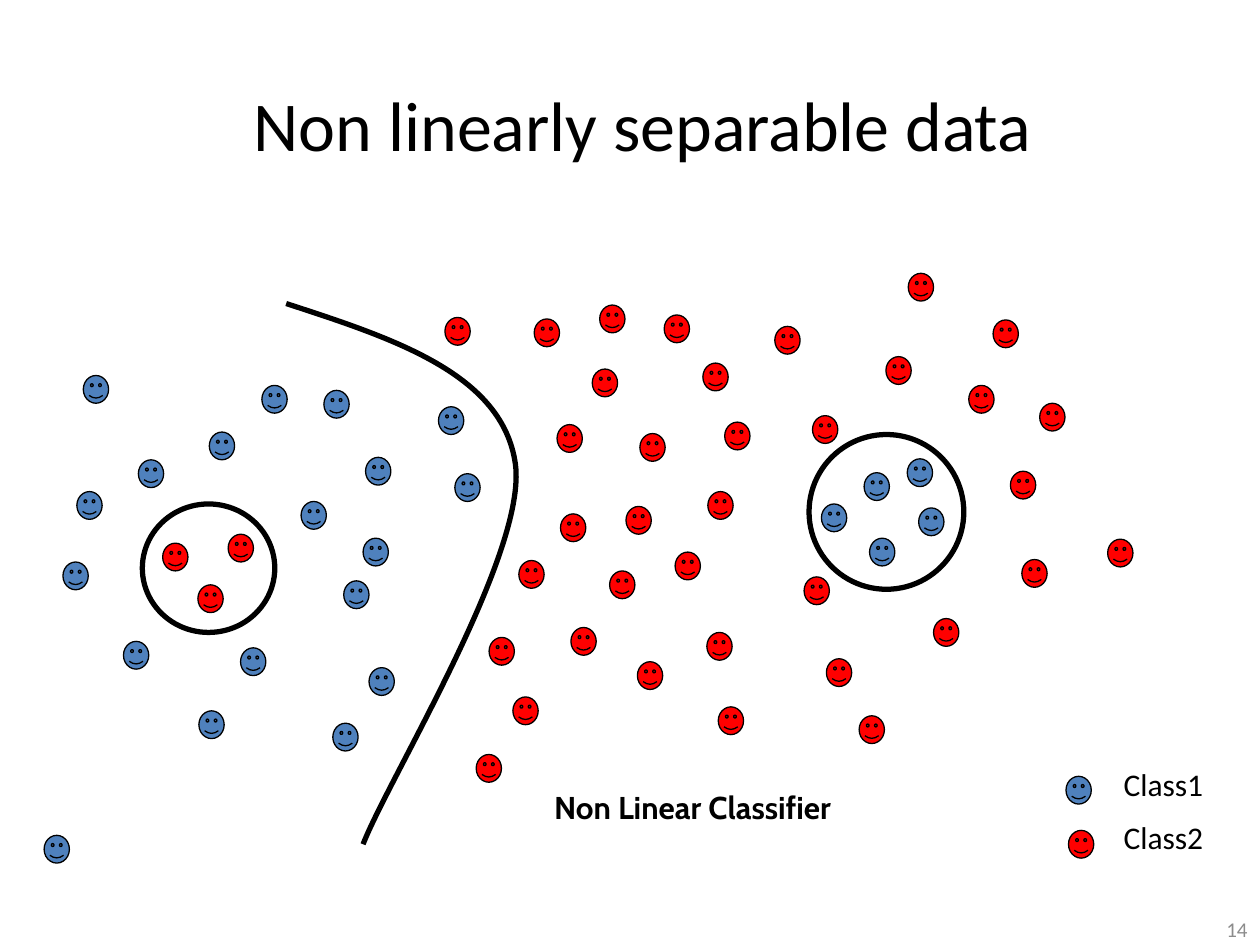
from dataclasses import dataclass

from lxml.etree import SubElement
from pptx import Presentation
from pptx.dml.color import RGBColor
from pptx.enum.shapes import MSO_SHAPE
from pptx.enum.text import MSO_ANCHOR, PP_ALIGN
from pptx.oxml.ns import qn
from pptx.util import Cm, Pt


@dataclass(frozen=True)
class Theme:
    blue: RGBColor = RGBColor(0x4F, 0x81, 0xBD)
    red: RGBColor = RGBColor(0xFF, 0x00, 0x00)
    black: RGBColor = RGBColor(0x00, 0x00, 0x00)
    gray: RGBColor = RGBColor(0x8C, 0x8C, 0x8C)
    body: str = "Calibri"
    label: str = "Cabin"
    title: Pt = Pt(40)
    text: Pt = Pt(18)
    small: Pt = Pt(12)
    thin: Pt = Pt(0.75)
    thick: Pt = Pt(3)


theme = Theme()
deck = Presentation()
deck.slide_width, deck.slide_height = Cm(25.4), Cm(19.05)
slide = deck.slides.add_slide(deck.slide_layouts[6])
shapes = slide.shapes


def style(shape, fill, width):
    shape.shadow.inherit = False
    if fill is None:
        shape.fill.background()
    else:
        shape.fill.solid()
        shape.fill.fore_color.rgb = fill
    shape.line.color.rgb = theme.black
    shape.line.width = width


def write(text, box, size, font=theme.body, color=theme.black,
          align=PP_ALIGN.LEFT, anchor=MSO_ANCHOR.TOP, bold=False):
    frame = shapes.add_textbox(*map(Cm, box)).text_frame
    frame.word_wrap = True
    frame.vertical_anchor = anchor
    para = frame.paragraphs[0]
    para.text = text
    para.alignment = align
    para.font.name = font
    para.font.size = size
    para.font.bold = bold
    para.font.color.rgb = color


blues = [
    (4.22, 8.71), (5.28, 7.77), (6.53, 7.87), (2.49, 12.93), (1.55, 9.91),
    (7.37, 9.22), (4.01, 14.33), (1.68, 7.57), (2.79, 9.27), (1.27, 11.33),
    (7.32, 10.85), (6.71, 14.58), (6.93, 11.71), (9.17, 9.55), (7.44, 13.46),
    (4.85, 13.06), (6.07, 10.11), (0.89, 16.84), (17.42, 9.53), (17.53, 10.85),
    (18.52, 10.24), (18.29, 9.25), (16.56, 10.16), (8.84, 8.2),
]
reds = [
    (10.46, 11.3), (10.77, 6.43), (11.94, 7.44), (12.09, 6.15), (13.39, 6.35),
    (11.3, 10.36), (11.23, 8.56), (17.86, 7.19), (12.62, 10.21), (14.27, 9.91),
    (18.31, 5.51), (12.9, 8.74), (14.61, 8.51), (12.29, 11.51), (13.61, 11.13),
    (20.37, 9.5), (16.38, 8.38), (19.53, 7.77), (16.21, 11.63), (20.02, 6.45),
    (14.17, 7.32), (11.51, 12.65), (10.34, 14.05), (9.6, 15.21), (8.97, 6.4),
    (4.6, 10.77), (3.28, 10.95), (14.25, 12.75), (16.66, 13.28), (18.82, 12.47),
    (20.6, 11.28), (20.96, 8.13), (22.33, 10.87), (3.99, 11.79), (15.62, 6.58),
    (12.85, 13.34), (14.48, 14.25), (17.32, 14.43), (9.86, 12.85),
]
legend = [
    ("Class1", 15.29, theme.blue, (21.49, 15.65)),
    ("Class2", 16.36, theme.red, (21.54, 16.74)),
]

faces = [(theme.blue, spot) for spot in blues]
faces += [(theme.red, spot) for spot in reds]
faces += [(color, spot) for name, top, color, spot in legend]
for color, (left, top) in faces:
    face = shapes.add_shape(MSO_SHAPE.SMILEY_FACE, Cm(left), Cm(top), Cm(0.51), Cm(0.56))
    style(face, color, theme.thin)

write("Non linearly separable data", (2.16, 0.89, 21.59, 3.18), theme.title,
      align=PP_ALIGN.CENTER, anchor=MSO_ANCHOR.MIDDLE)

start, *knots = [
    (Cm(x), Cm(y)) for x, y in [
        (5.77, 6.12), (7.95, 6.83), (10.13, 7.54), (10.39, 9.35),
        (10.64, 11.15), (7.82, 15.72), (7.32, 17.02),
    ]
]
pen = shapes.build_freeform(*start)
pen.add_line_segments(knots, close=False)
curve = pen.convert_to_shape()
style(curve, None, theme.thick)
route = next(curve.element.iter(qn("a:path")))
steps = route.findall(qn("a:lnTo"))
for first in range(0, len(steps), 3):
    bend = SubElement(route, qn("a:cubicBezTo"))
    for step in steps[first:first + 3]:
        bend.append(step[0])
        route.remove(step)

for ring in [(2.87, 10.16, 2.67, 2.59), (16.31, 8.76, 3.12, 3.12)]:
    style(shapes.add_shape(MSO_SHAPE.OVAL, *map(Cm, ring)), None, theme.thick)

write("Non Linear Classifier", (10.92, 15.77, 9.3, 1.27), theme.text,
      font=theme.label, bold=True)
for name, top, color, spot in legend:
    write(name, (22.4, top, 3, 1.27), theme.text)
write("14", (19.48, 18.42, 5.92, 0.64), theme.small, color=theme.gray,
      align=PP_ALIGN.RIGHT, anchor=MSO_ANCHOR.MIDDLE)

deck.save("out.pptx")
